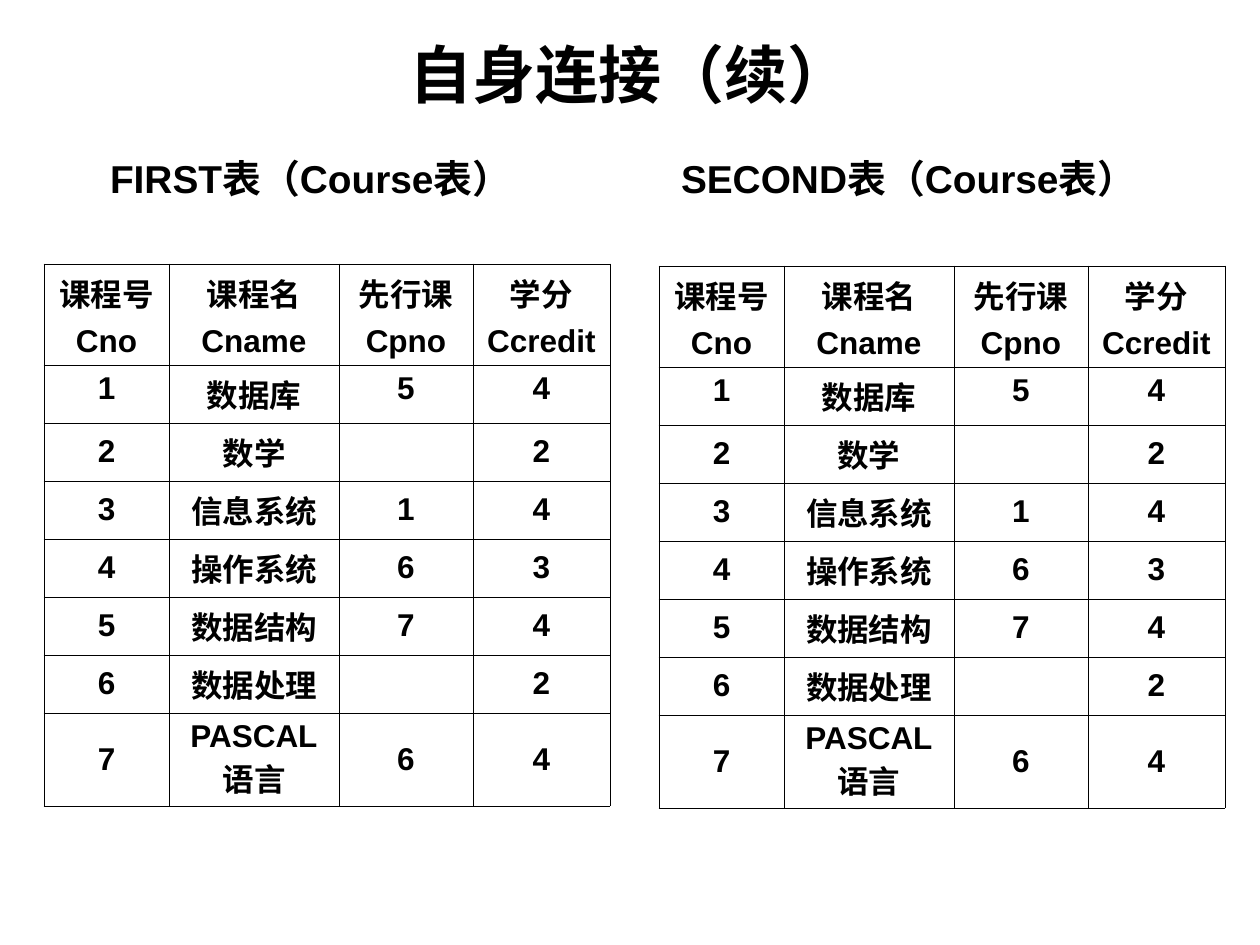
from lxml.etree import SubElement
from pptx import Presentation
from pptx.dml.color import RGBColor
from pptx.enum.text import MSO_ANCHOR, PP_ALIGN
from pptx.oxml.ns import qn
from pptx.util import Emu, Pt

PX = 7258  # EMU in one px, at 126 px to the inch
BLACK = "000000"
BORDER = Pt(0.45)
COLUMN_WIDTHS = [125, 170, 134, 137]
ROW_HEIGHTS = [101] + [58] * 6 + [93]
COURSES = [
    ["课程号\nCno", "课程名\nCname", "先行课\nCpno", "学分\nCcredit"],
    ["1", "数据库", "5", "4"],
    ["2", "数学", "", "2"],
    ["3", "信息系统", "1", "4"],
    ["4", "操作系统", "6", "3"],
    ["5", "数据结构", "7", "4"],
    ["6", "数据处理", "", "2"],
    ["7", "PASCAL语言", "6", "4"],
]


def px(length):
    return Emu(length * PX)


def color(hex_string):
    return RGBColor.from_string(hex_string)


def add_span(para, text, size):
    span = para.add_run()
    span.text = text
    span.font.name = "Arial"
    span.font.size = Pt(size)
    span.font.bold = True
    span.font.color.rgb = color(BLACK)


def add_box(page, left, top, width, height):
    box = page.shapes.add_textbox(px(left), px(top), px(width), px(height))
    box.text_frame.word_wrap = True
    return box.text_frame


def add_title(page, left, top, width, height):
    frame = add_box(page, left, top, width, height)
    frame.vertical_anchor = MSO_ANCHOR.MIDDLE
    para = frame.paragraphs[0]
    para.alignment = PP_ALIGN.CENTER
    add_span(para, "自身连接（续）", 36)


def add_captions(page, left, top, width, height):
    """Both table captions on one line, the second at a tab stop."""
    frame = add_box(page, left, top, width, height)
    frame.margin_left = px(56)
    para = frame.paragraphs[0]
    tabs = SubElement(para._p.get_or_add_pPr(), qn("a:tabLst"))
    SubElement(tabs, qn("a:tab"), pos=str(px(571)), algn="l")
    for text in ("FIRST表（Course表）", "\t", "SECOND表（Course表）"):
        add_span(para, text, 22.2)


def add_borders(cell):
    properties = cell._tc.get_or_add_tcPr()
    for position, side in enumerate(("lnL", "lnR", "lnT", "lnB")):
        line = SubElement(properties, qn(f"a:{side}"), w=str(BORDER))
        fill = SubElement(line, qn("a:solidFill"))
        SubElement(fill, qn("a:srgbClr"), val=BLACK)
        properties.insert(position, line)


def fill_cell(cell, text, anchor):
    cell.fill.background()
    cell.vertical_anchor = anchor
    add_borders(cell)
    for number, line in enumerate(text.split("\n")):
        if number:
            para = cell.text_frame.add_paragraph()
            para.space_before = Pt(4.5)
        else:
            para = cell.text_frame.paragraphs[0]
        para.alignment = PP_ALIGN.CENTER
        if line:
            add_span(para, line, 18)


def add_course_table(page, left, top):
    table = page.shapes.add_table(
        len(ROW_HEIGHTS), len(COLUMN_WIDTHS), px(left), px(top),
        px(sum(COLUMN_WIDTHS)), px(sum(ROW_HEIGHTS))).table
    table.first_row = False
    table.horz_banding = False
    for column, width in zip(table.columns, COLUMN_WIDTHS):
        column.width = px(width)
    for row, height in zip(table.rows, ROW_HEIGHTS):
        row.height = px(height)
    for row, values in enumerate(COURSES):
        # The header and the first course sit at the top of their cells
        anchor = MSO_ANCHOR.TOP if row < 2 else MSO_ANCHOR.MIDDLE
        for column, text in enumerate(values):
            fill_cell(table.cell(row, column), text, anchor)


def main():
    deck = Presentation()
    deck.slide_width = px(1260)
    deck.slide_height = px(945)
    page = deck.slides.add_slide(deck.slide_layouts[6])

    # Title and captions
    add_title(page, 63, -5, 1134, 156)
    add_captions(page, 54, 149, 1134, 89)

    # The same course table under both aliases
    add_course_table(page, 44, 264)
    add_course_table(page, 659, 266)

    deck.save("out.pptx")


if __name__ == "__main__":
    main()
